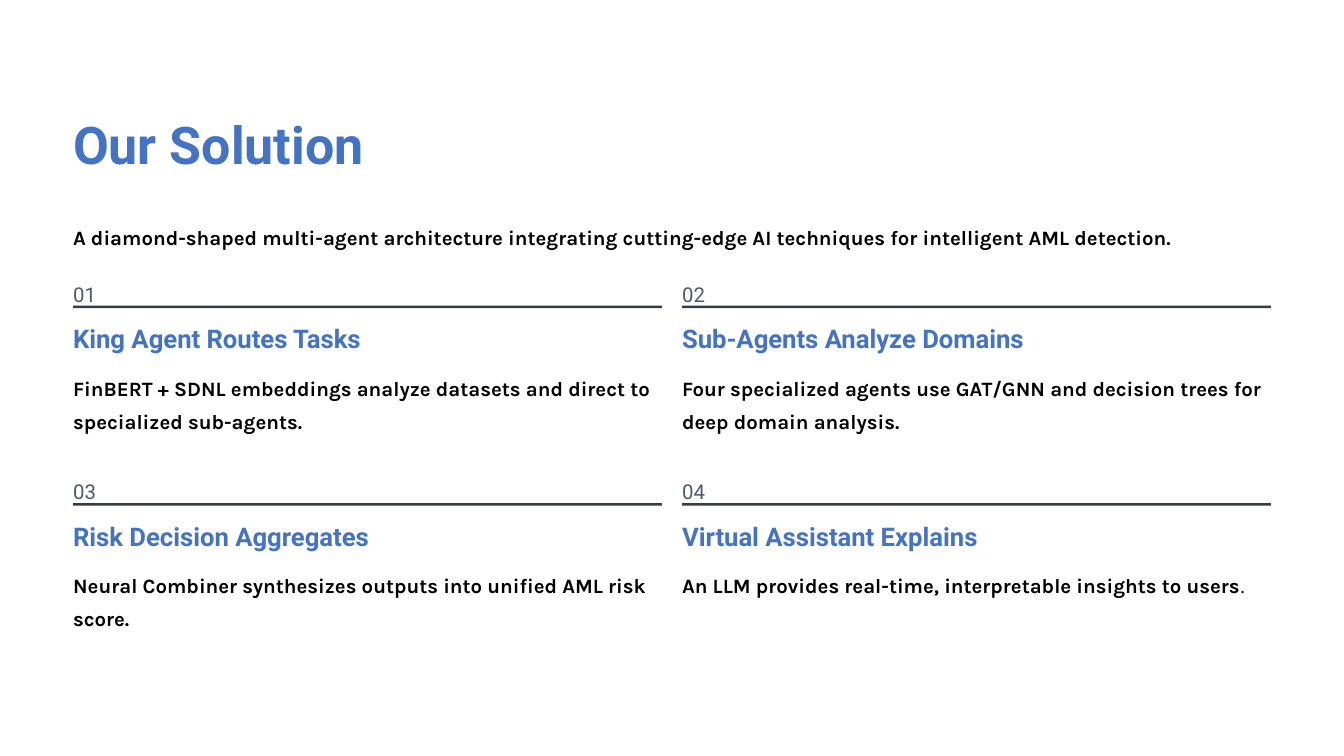
import pptx
import pptx.util
import pptx.dml.color
import pptx.enum.shapes
import pptx.enum.text

PX = 9144
COLORS = {"accent": "4472C4", "body": "000000", "number": "52586B", "rule": "373B48"}
STYLES = {
    "title": {"name": "Roboto", "size": 44.5, "bold": True, "color": "accent", "line": 55.5},
    "body": {"name": "Karla", "size": 17.5, "bold": True, "color": "body", "line": 28.5},
    "number": {"name": "Roboto", "size": 17.5, "bold": False, "color": "number", "line": 28.5},
    "heading": {"name": "Roboto", "size": 22, "bold": True, "color": "accent", "line": 27.5},
}

deck = pptx.Presentation()
deck.slide_width = 1600 * PX
deck.slide_height = 900 * PX
page = deck.slides.add_slide(deck.slide_layouts[6])


def color(key):
    return pptx.dml.color.RGBColor.from_string(COLORS[key])


def add_text(text, style_name, left, top, width, height, wrap=False, plain_end=""):
    style = STYLES[style_name]
    box = page.shapes.add_textbox(left * PX, top * PX, width * PX, height * PX)
    frame_format = {
        "margin_left": 0, "margin_top": 0, "margin_right": 0, "margin_bottom": 0,
        "word_wrap": wrap, "auto_size": pptx.enum.text.MSO_AUTO_SIZE.NONE,
    }
    for key, value in frame_format.items():
        setattr(box.text_frame, key, value)
    para = box.text_frame.paragraphs[0]
    para.line_spacing = pptx.util.Pt(style["line"])
    for content, bold in ((text, style["bold"]), (plain_end, False)):
        if content:
            span = para.add_run()
            span.text = content
            font_format = {"name": style["name"], "size": pptx.util.Pt(style["size"]), "bold": bold}
            for key, value in font_format.items():
                setattr(span.font, key, value)
            span.font.color.rgb = color(style["color"])


LEFT, TOP = 87, 325
COLUMN_STEP, ROW_STEP = 725, 235
COLUMN_WIDTH = 701

add_text("Our Solution", "title", LEFT, 131, 620, 78)
add_text(
    "A diamond-shaped multi-agent architecture integrating cutting-edge AI techniques "
    "for intelligent AML detection.",
    "body", LEFT, 258, 1426, 40,
)

steps = [
    ("King Agent Routes Tasks", 371,
     "FinBERT + SDNL embeddings analyze datasets and direct to specialized sub-agents.", 79, ""),
    ("Sub-Agents Analyze Domains", 447,
     "Four specialized agents use GAT/GNN and decision trees for deep domain analysis.", 79, ""),
    ("Risk Decision Aggregates", 381,
     "Neural Combiner synthesizes outputs into unified AML risk score.", 79, ""),
    ("Virtual Assistant Explains", 387,
     "An LLM provides real-time, interpretable insights to users", 40, "."),
]

for index, (heading, heading_width, body, body_height, plain_end) in enumerate(steps):
    row, column = divmod(index, 2)
    left = LEFT + column * COLUMN_STEP
    top = TOP + row * ROW_STEP
    add_text(f"{index + 1:02d}", "number", left, top, 25, 31)
    rule = page.shapes.add_shape(
        pptx.enum.shapes.MSO_SHAPE.RECTANGLE,
        left * PX, (top + 39) * PX, COLUMN_WIDTH * PX, 3 * PX,
    )
    rule.shadow.inherit = False
    rule.fill.solid()
    rule.fill.fore_color.rgb = color("rule")
    rule.line.fill.background()
    add_text(heading, "heading", left, top + 58, heading_width, 39)
    add_text(body, "body", left, top + 112, COLUMN_WIDTH, body_height, not plain_end, plain_end)

deck.save("out.pptx")
